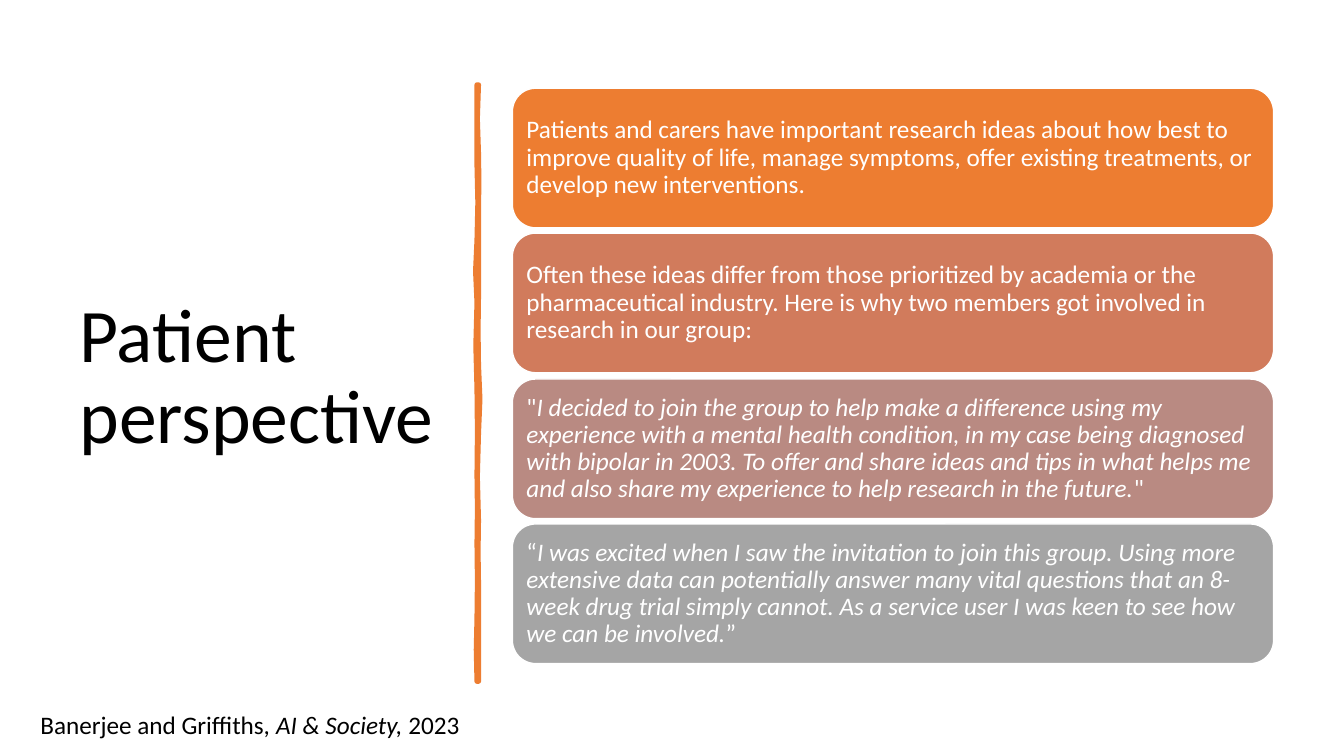
from pptx import Presentation
from pptx.dml.color import RGBColor
from pptx.enum.shapes import MSO_SHAPE
from pptx.enum.text import MSO_ANCHOR, PP_ALIGN
from pptx.util import Pt

PX = 9525
FONT = "Calibri"
BLACK, WHITE, ORANGE = "000000", "FFFFFF", "ED7D31"

CARDS = [
    ("ED7D31", [("Patients and carers have important research ideas about how best to "
                 "improve quality of life, manage symptoms, offer existing treatments, "
                 "or develop new interventions.", False)]),
    ("D17B5C", [("Often these ideas differ from those prioritized by academia or the "
                 "pharmaceutical industry. Here is why two members got involved in "
                 "research in our group:", False)]),
    ("B98A82", [('"', False),
                ("I decided to join the group to help make a difference using my "
                 "experience with a mental health condition, in my case being diagnosed "
                 "with bipolar in 2003. To offer and share ideas and tips in what helps "
                 "me and also share my experience to help research in the future.", True),
                ('"', False)]),
    ("A5A5A5", [("“", False),
                ("I was excited when I saw the invitation to join this group. Using more "
                 "extensive data can potentially answer many vital questions that an "
                 "8-week drug trial simply cannot. As a service user I was keen to see "
                 "how we can be involved.", True),
                ("”", False)]),
]
CITATION = [("Banerjee and Griffiths", False), (", AI & Society,", True), (" 2023", False)]

RIGHT_EDGE = (4560, [806, 1459, 1997, 2822, 3475, 4128, 4954, 5549, 6490],
              [-11, 4, 0, -4, 14, -11, -4, 0])
LEFT_EDGE = (4541, [6490, 5885, 5174, 4522, 3706, 2880, 2285, 1574, 806],
             [-7, 4, 4, 4, -11, -14, 8, 0])


def color(value):
    return RGBColor.from_string(value)


def place(shape, left, top, width, height):
    shape.left, shape.top = left * PX, top * PX
    shape.width, shape.height = width * PX, height * PX


def write(shape, spans, size, text_color, anchor, spacing=1.0):
    frame = shape.text_frame
    frame.word_wrap = True
    frame.vertical_anchor = anchor
    para = frame.paragraphs[0]
    para.alignment = PP_ALIGN.LEFT
    para.line_spacing = spacing
    for text, italic in spans:
        span = para.add_run()
        span.text = text
        span.font.name = FONT
        span.font.size = Pt(size)
        span.font.italic = italic
        span.font.color.rgb = color(text_color)


def paint(shape, fill, line, line_width):
    shape.shadow.inherit = False
    shape.fill.solid()
    shape.fill.fore_color.rgb = color(fill)
    shape.line.color.rgb = color(line)
    shape.line.width = Pt(line_width)


def add_title(page, text):
    title = page.shapes.title
    place(title, 66, 67, 359, 587)
    write(title, [(text, False)], 54, BLACK, MSO_ANCHOR.MIDDLE, 0.9)


def edge_points(x, stops, sways):
    points = [(x, stops[0])]
    for start, end, sway in zip(stops, stops[1:], sways):
        points += [(x + sway, (start + end) // 2), (x, end)]
    return points


def add_brush_stroke(page):
    points = edge_points(*RIGHT_EDGE) + edge_points(*LEFT_EDGE)
    builder = page.shapes.build_freeform(*points[0], scale=PX / 10)
    builder.add_line_segments(points[1:], close=True)
    paint(builder.convert_to_shape(), ORANGE, ORANGE, 3.25)


def add_cards(page):
    top, span, height = 84, 548, 133
    pitch = (span - height) / (len(CARDS) - 1)
    for index, (fill, spans) in enumerate(CARDS):
        card = page.shapes.add_shape(MSO_SHAPE.ROUNDED_RECTANGLE, 0, 0, 0, 0)
        place(card, 488, top + round(index * pitch), 725, height)
        paint(card, fill, WHITE, 1)
        frame = card.text_frame
        frame.margin_left = frame.margin_right = 7 * PX
        frame.margin_top = frame.margin_bottom = 7 * PX
        write(card, spans, 18, WHITE, MSO_ANCHOR.MIDDLE, 0.9)


def add_citation(page):
    box = page.shapes.add_textbox(0, 0, 0, 0)
    place(box, 29, 671, 468, 38)
    write(box, CITATION, 18, BLACK, MSO_ANCHOR.TOP)


def main():
    deck = Presentation()
    deck.slide_width, deck.slide_height = 1280 * PX, 720 * PX
    page = deck.slides.add_slide(deck.slide_layouts[5])
    add_title(page, "Patient perspective")
    add_brush_stroke(page)
    add_cards(page)
    add_citation(page)
    deck.save("out.pptx")


if __name__ == "__main__":
    main()
